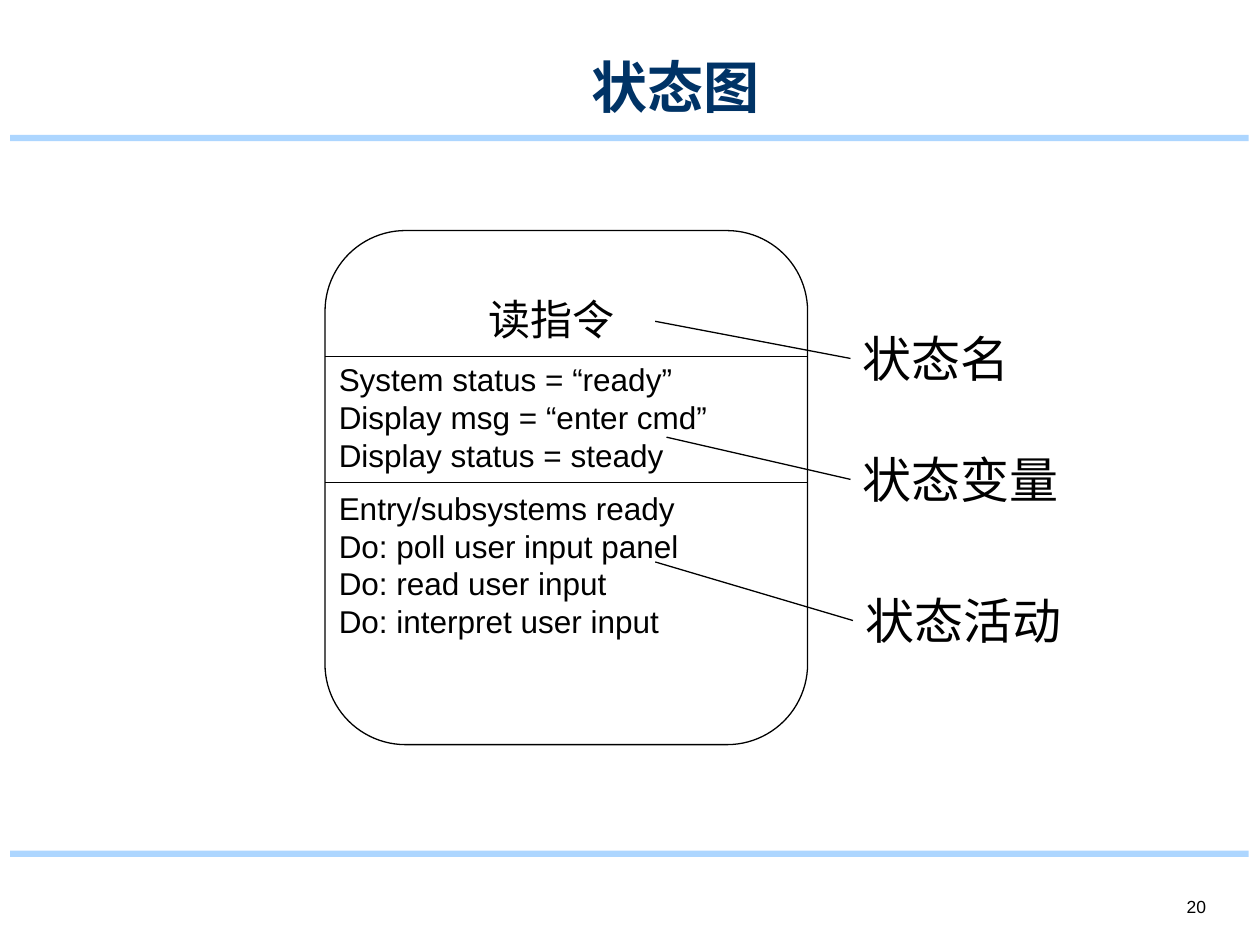
from pptx import Presentation
from pptx.dml.color import RGBColor
from pptx.enum.shapes import MSO_CONNECTOR, MSO_SHAPE
from pptx.enum.text import MSO_ANCHOR, PP_ALIGN
from pptx.oxml.ns import qn
from pptx.util import Pt
from lxml.etree import SubElement

PX = 9144  # 100 px to the inch
LEFT_SIDE = 1


def color(hex_string):
    return RGBColor.from_string(hex_string)


class SlideBuilder:
    font = "Arial"
    ink = "000000"
    paper = "FFFFFF"
    accent = "ADD6FF"
    title_ink = "003366"
    line_width = Pt(0.75)

    def __init__(self, slide):
        self.slide = slide

    def shape(self, kind, left, top, width, height, fill, outlined=False):
        shape = self.slide.shapes.add_shape(
            kind, left * PX, top * PX, width * PX, height * PX)
        shape.shadow.inherit = False
        shape.fill.solid()
        shape.fill.fore_color.rgb = color(fill)
        if outlined:
            shape.line.color.rgb = color(self.ink)
            shape.line.width = self.line_width
        else:
            shape.line.fill.background()
        return shape

    def line(self, x1, y1, x2, y2):
        connector = self.slide.shapes.add_connector(
            MSO_CONNECTOR.STRAIGHT, x1 * PX, y1 * PX, x2 * PX, y2 * PX)
        connector.line.color.rgb = color(self.ink)
        connector.line.width = self.line_width
        SubElement(connector._element.spPr, qn("a:effectLst"))
        return connector

    def text(self, lines, left, top, width, height, size, align=PP_ALIGN.LEFT,
             anchor=MSO_ANCHOR.TOP, ink=ink, bold=False):
        box = self.slide.shapes.add_textbox(
            left * PX, top * PX, width * PX, height * PX)
        frame = box.text_frame
        frame.word_wrap = True
        frame.vertical_anchor = anchor
        frame.text = "\n".join(lines)
        for paragraph in frame.paragraphs:
            paragraph.alignment = align
            for run in paragraph.runs:
                run.font.name = self.font
                run.font.size = Pt(size)
                run.font.bold = bold
                run.font.color.rgb = color(ink)
        return box

    def callout(self, label, left, top, width, target_x, target_y):
        box = self.text([label], left, top, width, 57, 28)
        connector = self.line(left, top, target_x, target_y)
        connector.begin_connect(box, LEFT_SIDE)


def main():
    presentation = Presentation()
    presentation.slide_width = 1000 * PX
    presentation.slide_height = 750 * PX
    builder = SlideBuilder(
        presentation.slides.add_slide(presentation.slide_layouts[6]))

    # Header and footer rules, page number, title
    for top in (107, 675):
        builder.shape(MSO_SHAPE.RECTANGLE, 8, top, 983, 5, builder.accent)
    builder.text(["20"], 825, 683, 142, 50, 10,
                 PP_ALIGN.RIGHT, MSO_ANCHOR.BOTTOM)
    builder.text(["状态图"], 256, 25, 560, 75, 32, PP_ALIGN.CENTER,
                 MSO_ANCHOR.BOTTOM, builder.title_ink, bold=True)

    # State box with its two dividers
    left, top, width, height = 258, 183, 383, 408
    state = builder.shape(MSO_SHAPE.ROUNDED_RECTANGLE, left, top, width, height,
                          builder.paper, outlined=True)
    state.adjustments[0] = 0.167
    for divider in (283, 383):
        builder.line(left, divider, left + width, divider)

    # Name, variables and activities of the state
    builder.text(["读指令"], 342, 228, 192, 51, 24, PP_ALIGN.CENTER)
    builder.text(["System status = “ready”",
                  "Display msg = “enter cmd”",
                  "Display status = steady"], 259, 281, 371, 101, 18)
    builder.text(["Entry/subsystems ready",
                  "Do: poll user input panel",
                  "Do: read user input",
                  "Do: interpret user input"], 259, 383, 371, 162, 18)

    # Callouts
    builder.callout("状态名", 675, 256, 148, 520, 255)
    builder.callout("状态变量", 675, 352, 188, 529, 347)
    builder.callout("状态活动", 677, 464, 189, 520, 446)

    presentation.save("out.pptx")


if __name__ == "__main__":
    main()
